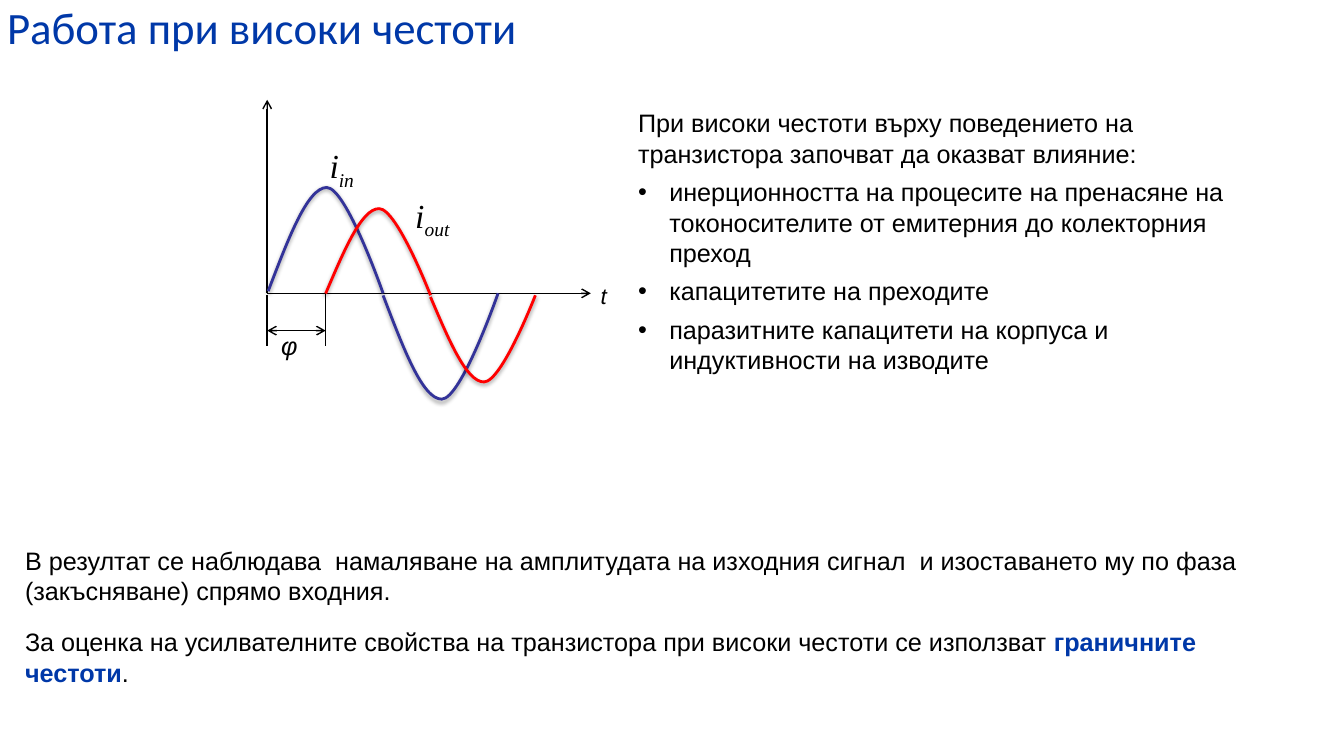
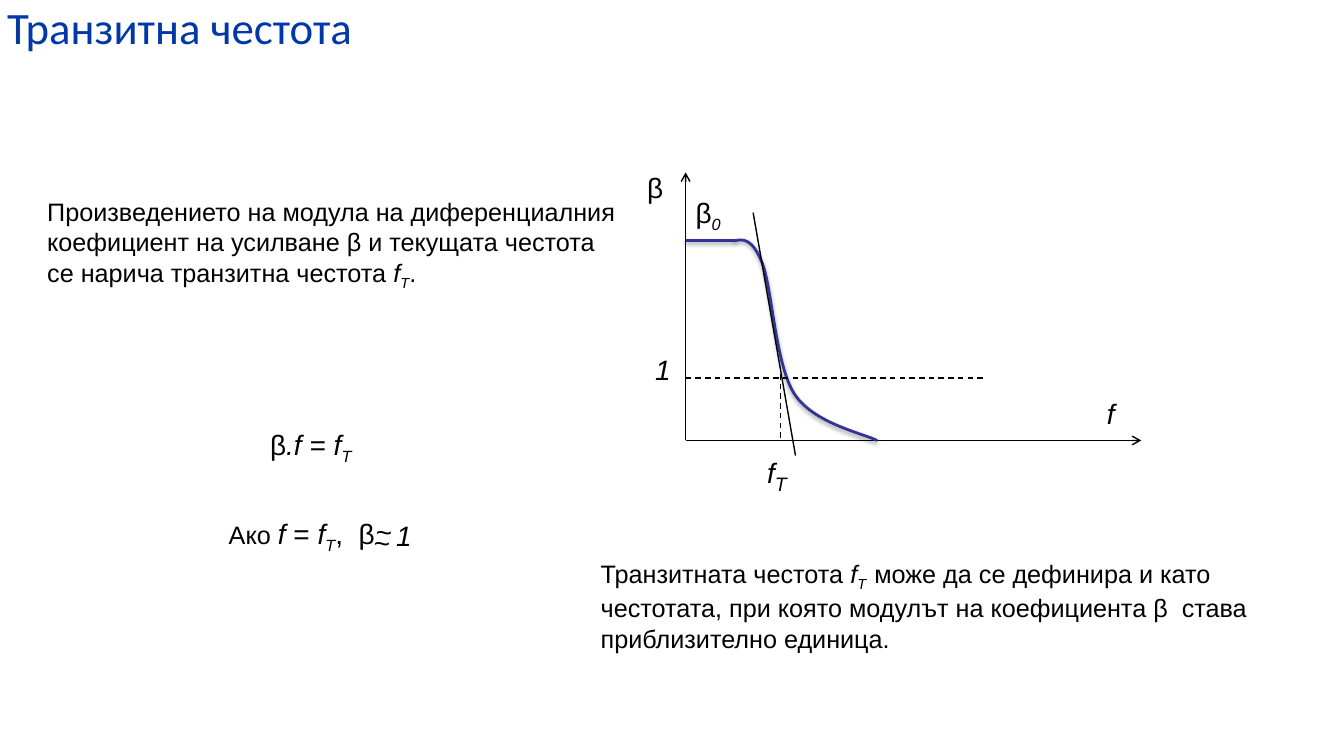
from dataclasses import dataclass
from typing import NamedTuple

from lxml.etree import SubElement
from pptx import Presentation
from pptx.dml.color import RGBColor
from pptx.enum.dml import MSO_LINE
from pptx.enum.text import MSO_ANCHOR, MSO_AUTO_SIZE, PP_ALIGN
from pptx.oxml import parse_xml
from pptx.oxml.ns import nsdecls, qn
from pptx.util import Inches, Pt

BLACK = RGBColor(0x00, 0x00, 0x00)
BLUE = RGBColor(0x00, 0x38, 0xA8)
INDIGO = RGBColor(0x33, 0x33, 0x99)
RED = RGBColor(0xFF, 0x00, 0x00)

# One half wave as fractions of its width and height
HUMP = [(0, 0.02), (0.17, 0.5), (0.34, 1), (0.51, 1), (0.68, 1), (1, 0), (1, 0)]


class Run(NamedTuple):
    text: str
    look: str = ""  # i italic, s subscript, k bold key term
    size: int = 0  # 0 takes the size of the label


@dataclass
class Para:
    runs: list[Run]
    bullet: bool = False
    before: int = 0


@dataclass
class Label:
    left: float
    top: float
    width: float
    height: float
    paras: list[Para]
    size: int = 18
    font: str = "Arial"
    wrap: bool = True


@dataclass
class Line:
    start: tuple[float, float]
    end: tuple[float, float]
    head: bool = False
    tail: bool = False
    dash: bool = False
    color: RGBColor = BLACK
    width: float = 1
    shade: bool = False


class Wave(NamedTuple):
    left: float
    base: float
    width: float
    height: float
    color: RGBColor


def mark(left: float, top: float, width: float, height: float,
         *runs: Run, size: int = 20, font: str = "Arial", wrap: bool = True) -> Label:
    """A label of one paragraph."""
    return Label(left, top, width, height, [Para(list(runs))], size, font, wrap)


def add_title(slide, text: str) -> None:
    title = slide.shapes.title
    title.left, title.top = Inches(-0.03), Inches(-0.05)
    title.width, title.height = Inches(10), Inches(0.58)
    frame = title.text_frame
    frame.text = text
    frame.auto_size = MSO_AUTO_SIZE.NONE
    frame.vertical_anchor = MSO_ANCHOR.TOP
    para = frame.paragraphs[0]
    para.alignment = PP_ALIGN.LEFT
    font = para.runs[0].font
    font.name, font.size, font.color.rgb = "Calibri", Pt(32), BLUE


def add_bullet(para) -> None:
    props = para._p.get_or_add_pPr()
    props.set("marL", str(Inches(0.31)))
    props.set("indent", str(Inches(-0.31)))
    props.append(parse_xml(f'<a:buFont {nsdecls("a")} typeface="Arial"/>'))
    props.append(parse_xml(f'<a:buChar {nsdecls("a")} char="•"/>'))


def add_label(slide, label: Label) -> None:
    box = slide.shapes.add_textbox(Inches(label.left), Inches(label.top),
                                   Inches(label.width), Inches(label.height))
    frame = box.text_frame
    frame.word_wrap = label.wrap
    for num, item in enumerate(label.paras):
        para = frame.add_paragraph() if num else frame.paragraphs[0]
        para.space_before = Pt(item.before)
        if item.bullet:
            add_bullet(para)
        for part in item.runs:
            run = para.add_run()
            run.text = part.text
            font = run.font
            font.name, font.size = label.font, Pt(part.size or label.size)
            font.italic = "i" in part.look
            font.bold = "k" in part.look
            font.color.rgb = BLUE if font.bold else BLACK
            if "s" in part.look:
                run._r.get_or_add_rPr().set("baseline", "-25000")


def set_shade(shape, shade: bool) -> None:
    """Replace the theme shadow by a soft one or by none."""
    props = shape._element.spPr
    for old in props.findall(qn("a:effectLst")):
        props.remove(old)
    soft = ('<a:outerShdw blurRad="40000" dist="20000" dir="5400000" rotWithShape="0">'
            '<a:srgbClr val="000000"><a:alpha val="38000"/></a:srgbClr></a:outerShdw>')
    props.append(parse_xml(
        f'<a:effectLst {nsdecls("a")}>{soft if shade else ""}</a:effectLst>'))


def add_line(slide, line: Line) -> None:
    x1, y1, x2, y2 = (Inches(v) for v in line.start + line.end)
    shape = slide.shapes.add_connector(1, x1, y1, x2, y2)
    shape.line.color.rgb = line.color
    shape.line.width = Pt(line.width)
    if line.dash:
        shape.line.dash_style = MSO_LINE.DASH
    for name, shown in (("headEnd", line.head), ("tailEnd", line.tail)):
        if shown:
            shape.line._get_or_add_ln().append(
                parse_xml(f'<a:{name} {nsdecls("a")} type="arrow"/>'))
    set_shade(shape, line.shade)


def add_curve(slide, dots: list[tuple[float, float]], color: RGBColor) -> None:
    """Draw joined cubic curves: a start point, then three points for each."""
    start, *rest = [(Inches(x), Inches(y)) for x, y in dots]
    pen = slide.shapes.build_freeform(*start)
    pen.add_line_segments(rest, close=False)
    shape = pen.convert_to_shape()
    # Turn each three straight pieces into one cubic curve
    steps = list(shape._element.iter(qn("a:lnTo")))
    trace = steps[0].getparent()
    for first in range(0, len(steps), 3):
        cubic = SubElement(trace, qn("a:cubicBezTo"))
        for step in steps[first:first + 3]:
            cubic.append(step[0])
            trace.remove(step)
    shape.fill.background()
    shape.line.color.rgb = color
    shape.line.width = Pt(2)
    set_shade(shape, True)


def add_wave(slide, wave: Wave) -> None:
    for half, sign in enumerate((-1, 1)):
        left = wave.left + half * wave.width
        dots = [(left + x * wave.width, wave.base + sign * y * wave.height)
                for x, y in HUMP]
        add_curve(slide, dots, wave.color)


def draw_phase(slide) -> None:
    add_title(slide, "Работа при високи честоти")

    # Axes, phase gap and waves
    left, late, base = 2.65, 3.23, 2.91
    for line in (
        Line((left, base), (5.86, base), tail=True),
        Line((left, base), (left, 0.99), tail=True),
        Line((left, 2.93), (left, 3.43)),
        Line((late, 2.92), (late, 3.43)),
        Line((left, 3.28), (late, 3.28), head=True, tail=True),
    ):
        add_line(slide, line)
    add_wave(slide, Wave(2.66, base, 1.14, 1.05, INDIGO))
    add_wave(slide, Wave(late, 2.93, 1.04, 0.86, RED))

    # Labels and text
    effects = ("инерционността на процесите на пренасяне на токоносителите "
               "от емитерния до колекторния преход",
               "капацитетите на преходите",
               "паразитните капацитети на корпуса и индуктивности на изводите")
    intro = Para([Run("При високи честоти върху поведението на транзистора "
                      "започват да оказват влияние:")], before=6)
    result = Para([Run("В резултат се наблюдава  намаляване на амплитудата на изходния "
                       "сигнал  и изоставането му по фаза (закъсняване) спрямо входния.")])
    limit = Para([Run("За оценка на усилвателните свойства на транзистора при високи "
                      "честоти се използват "),
                  Run("граничните честоти", "k"), Run(".")], before=15)
    for label in (
        mark(2.69, 3.23, 0.55, 0.4, Run("φ", "i"), size=18),
        mark(5.86, 2.75, 0.7, 0.37, Run("t", "i"), size=16),
        mark(3.17, 1.39, 0.86, 0.5, Run("i", "i"), Run("in", "is"),
             size=24, font="Times New Roman"),
        mark(4.02, 1.88, 0.86, 0.5, Run("i", "i"), Run("out", "is"),
             size=24, font="Times New Roman"),
        Label(6.23, 1.02, 6.5, 2.86,
              [intro] + [Para([Run(text)], True, 6) for text in effects]),
        Label(0.15, 5.36, 12.84, 1.21, [result, limit]),
    ):
        add_label(slide, label)


def draw_gain(slide) -> None:
    add_title(slide, "Транзитна честота")

    # Axes, gain curve and guides
    left, base, one, cut = 6.8, 4.37, 3.75, 7.74
    for line in (
        Line((left, base), (11.32, base), tail=True),
        Line((left, base), (left, 1.71), tail=True),
        Line((left, 2.39), (7.3, 2.39), color=INDIGO, width=2, shade=True),
    ):
        add_line(slide, line)
    add_curve(slide, [(7.28, 2.39), (7.37, 2.37), (7.46, 2.36), (7.56, 2.61),
                      (7.66, 2.87), (7.69, 3.62), (7.88, 3.91),
                      (8.07, 4.2), (8.56, 4.3), (8.7, base)], INDIGO)
    for line in (
        Line((7.47, 2.11), (7.89, 4.52)),
        Line((cut, 3.71), (cut, base), dash=True),
        Line((left, one), (9.78, one), dash=True),
    ):
        add_line(slide, line)

    # Labels and text
    for label in (
        mark(6.32, 1.64, 0.76, 0.44, Run("β")),
        mark(10.88, 3.88, 0.44, 0.44, Run("f", "i")),
        mark(7.51, 4.41, 0.95, 0.44, Run("f", "i"), Run("Т", "is", 24)),
        mark(6.4, 3.45, 0.39, 0.44, Run("1", "i")),
        mark(6.8, 1.89, 0.75, 0.44, Run("β"), Run("0", "is")),
        mark(0.37, 1.9, 5.96, 1.04,
             Run("Произведението на модула на диференциалния коефициент на усилване β "
                 "и текущата честота се нарича транзитна честота "),
             Run("f", "i"), Run("T", "is"), Run("."), size=18),
        mark(5.86, 5.49, 7, 1.01, Run("Транзитната честота "), Run("f", "i"),
             Run("Т  ", "is"),
             Run("може да се дефинира и като честотата, при която модулът на "
                 "коефициента β  става приблизително единица."), size=18),
        mark(2.58, 4.19, 2.43, 0.44, Run("β"), Run(".f = f", "i"), Run("T", "is")),
        mark(2.17, 5.07, 1.91, 0.44, Run("Ако ", size=18), Run("f", "i"), Run(" = "),
             Run("f", "i"), Run("T", "is"), Run(",  β")),
        mark(3.63, 5.06, 0.34, 0.44, Run("~"), wrap=False),
        mark(3.61, 5.16, 0.34, 0.44, Run("~"), wrap=False),
        mark(3.83, 5.09, 0.35, 0.44, Run("1", "i")),
    ):
        add_label(slide, label)


def main() -> None:
    deck = Presentation()
    deck.slide_width, deck.slide_height = Inches(13.33), Inches(7.5)
    for draw in (draw_phase, draw_gain):
        draw(deck.slides.add_slide(deck.slide_layouts[5]))
    deck.save("out.pptx")


if __name__ == "__main__":
    main()
